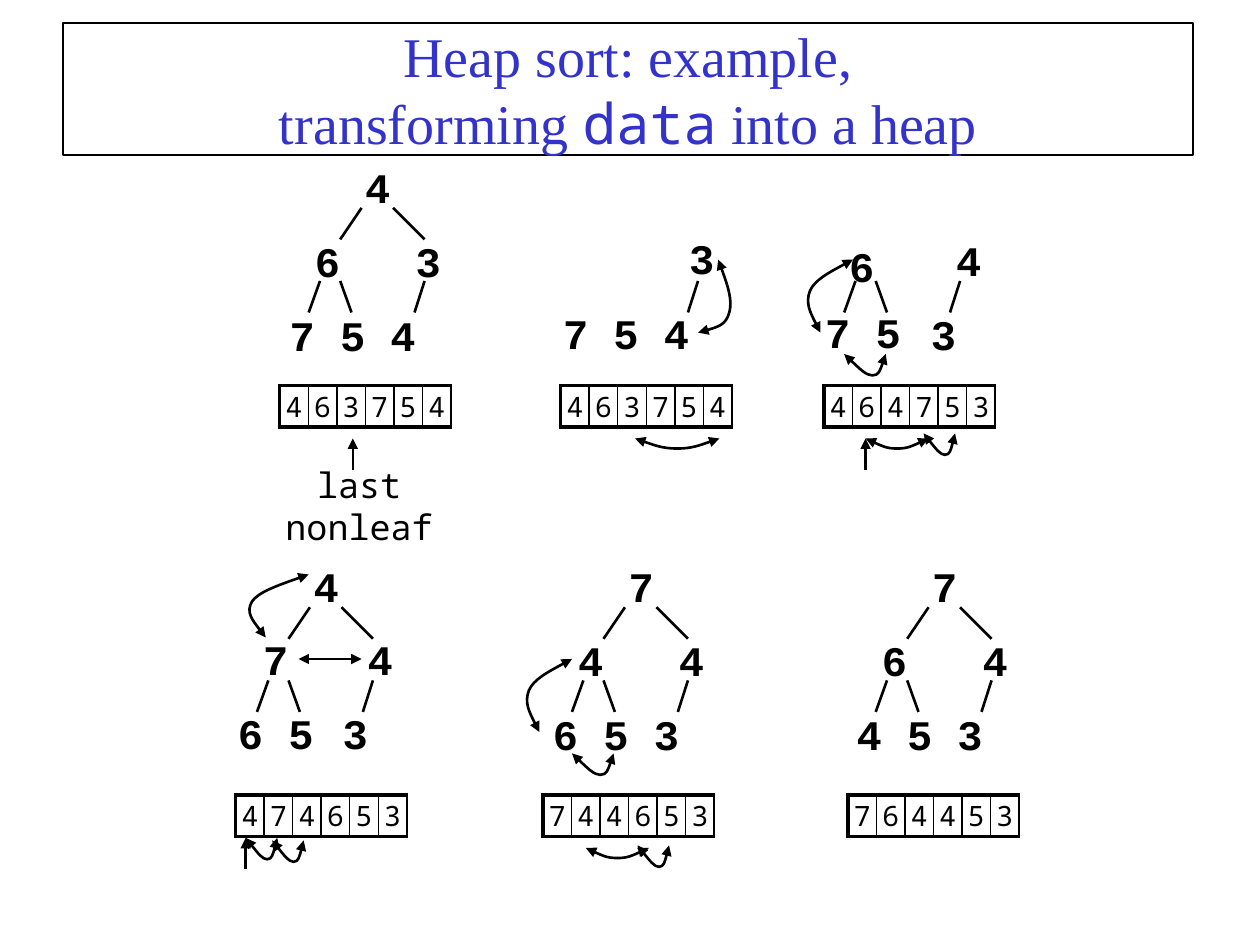
import pptx
import pptx.dml.color
import pptx.enum.dml
import pptx.enum.shapes
import pptx.enum.text
import pptx.oxml
import pptx.oxml.ns
import pptx.util
import lxml.etree

Inches = pptx.util.Inches
Pt = pptx.util.Pt
qn = pptx.oxml.ns.qn
ALIGN = pptx.enum.text.PP_ALIGN
BLACK, BLUE = "000000", "3333CC"
SERIF, MONO, NODE = "Times New Roman", "Noto Sans Mono", "Courier New"

TITLE_LINES = [
    [("Heap sort: example,", SERIF)],
    [("transforming ", SERIF), ("data", MONO), (" into a heap", SERIF)],
]

EDGES = {
    "root left": ((0.67, 0.42), (0.5, 0.67)),
    "root right": ((0.92, 0.42), (1.17, 0.67)),
    "left left": ((0.34, 1), (0.25, 1.25)),
    "left right": ((0.5, 1), (0.59, 1.25)),
    "right left": ((1.17, 1), (1.09, 1.25)),
}
ALL_EDGES = list(EDGES)


def full_tree(root, left, right, leaves):
    return [(f"\t{root}", [0.6]), (f"\t{left}\t{right}", [0.2, 1]), (leaves, [])]


def right_subtree(parent, leaf):
    return [(f"\t{parent}", [0.2]), (leaf, [])]


PANELS = [
    {"origin": (2.2, 1.23), "array": (2.22, 3.06, "463754"), "edges": ALL_EDGES,
     "nodes": [(2.2, 1.23, 1.42, full_tree("4", "6", "3", "7 5 4"))]},
    {"origin": (4.37, 1.23), "array": (4.45, 3.06, "463754"), "edges": ALL_EDGES[4:],
     "nodes": [(4.37, 1.8, 1.42, [("\t3", [1]), ("7 5 4", [])])]},
    {"origin": (6.45, 1.23), "array": (6.54, 3.06, "464753"), "edges": ALL_EDGES[2:],
     "nodes": [(7.29, 1.81, 0.75, right_subtree("4", "3")),
               (6.45, 2.38, 0.92, [("7 5", [])]),
               (6.64, 1.86, 0.44, [("6", [])])]},
    {"origin": (1.79, 4.4), "array": (1.87, 6.31, "474653"), "edges": ALL_EDGES,
     "nodes": [(2.62, 4.98, 0.75, right_subtree("4", "3")),
               (1.79, 4.98, 0.92, [("\t7", [0.2]), ("6 5", [])]),
               (1.79, 4.4, 1.33, [("\t4", [0.6])])]},
    {"origin": (4.29, 4.4), "array": (4.31, 6.31, "744653"), "edges": ALL_EDGES,
     "nodes": [(4.29, 4.4, 1.42, full_tree("7", "4", "4", "6 5 3"))]},
    {"origin": (6.7, 4.4), "array": (6.73, 6.31, "764453"), "edges": ALL_EDGES,
     "nodes": [(6.7, 4.4, 1.42, full_tree("7", "6", "4", "4 5 3"))]},
]

CURVES = {
    "hook": [(0, 0), (0.27, 0.5), (0.53, 1), (0.68, 1), (0.84, 1), (0.92, 0.5), (1, 0)],
    "arc": [(0, 0), (0.17, 0.5), (0.33, 1), (0.5, 1), (0.67, 1), (0.83, 0.5), (1, 0)],
    "left": [(1, 0), (0.6, 0.14), (0.2, 0.28), (0.1, 0.43), (0, 0.6), (0.16, 0.8), (0.32, 1)],
    "right": [(0.57, 0), (0.79, 0.28), (0.98, 0.55), (0.89, 0.72), (0.79, 0.9), (0.39, 0.95), (0, 1)],
}
SWAPS = [
    ("right", 5.54, 2.06, 0.28, 0.58),
    ("arc", 5.04, 3.48, 0.67, 0.08),
    ("left", 6.39, 2.06, 0.38, 0.58),
    ("hook", 6.7, 2.81, 0.33, 0.17),
    ("arc", 6.87, 3.48, 0.5, 0.08),
    ("hook", 7.33, 3.44, 0.25, 0.17),
    ("left", 1.95, 4.56, 0.5, 0.5),
    ("hook", 1.95, 6.65, 0.25, 0.17),
    ("hook", 2.16, 6.67, 0.25, 0.17),
    ("left", 4.16, 5.23, 0.38, 0.58),
    ("hook", 4.54, 5.98, 0.33, 0.17),
    ("arc", 4.65, 6.73, 0.5, 0.08),
    ("hook", 5.06, 6.71, 0.25, 0.17),
]
POINTERS = [
    ((2.8, 3.48), (2.8, 3.73), 1, ["head"]),
    ((6.87, 3.48), (6.87, 3.73), 1.5, ["head"]),
    ((1.95, 6.65), (1.95, 6.9), 1.5, ["head"]),
    ((2.37, 5.23), (2.87, 5.23), 1.5, ["head", "tail"]),
]


def color(value):
    return pptx.dml.color.RGBColor.from_string(value)


def write(paragraph, text, font=NODE, size=24, fill=BLACK, bold=False,
          align=ALIGN.LEFT, before=0, tabs=()):
    paragraph.alignment = align
    paragraph.space_before = Pt(before)
    if tabs:
        stops = lxml.etree.SubElement(paragraph._p.get_or_add_pPr(), qn("a:tabLst"))
        for position in tabs:
            lxml.etree.SubElement(stops, qn("a:tab"), pos=str(Inches(position)), algn="l")
    run = paragraph.add_run()
    run.text = text
    run.font.name, run.font.size, run.font.bold = font, Pt(size), bold
    run.font.color.rgb = color(fill)


def add_text_box(slide, left, top, width, height):
    box = slide.shapes.add_textbox(*map(Inches, (left, top, width, height)))
    box.text_frame.word_wrap = True
    box.text_frame.auto_size = pptx.enum.text.MSO_AUTO_SIZE.SHAPE_TO_FIT_TEXT
    return box.text_frame


def add_nodes(slide, left, top, width, rows):
    frame = add_text_box(slide, left, top, width, 0.6 * len(rows) - 0.1)
    for index, (text, tabs) in enumerate(rows):
        paragraph = frame.add_paragraph() if index else frame.paragraphs[0]
        write(paragraph, text, bold=True, before=13.6 if index else 0, tabs=tabs)


def style_line(shape, width, arrows=()):
    shape.line.color.rgb = color(BLACK)
    shape.line.width = Pt(width)
    line = shape.line._get_or_add_ln()
    for end in arrows:
        lxml.etree.SubElement(line, qn(f"a:{end}End"), type="triangle")


def add_line(slide, start, end, width=1.5, arrows=()):
    connector = slide.shapes.add_connector(
        pptx.enum.shapes.MSO_CONNECTOR.STRAIGHT, *map(Inches, (*start, *end)))
    style_line(connector, width, arrows)
    lxml.etree.SubElement(connector._element.spPr, qn("a:effectLst"))


def add_swap(slide, kind, left, top, width, height):
    points = [(Inches(left + x * width), Inches(top + y * height)) for x, y in CURVES[kind]]
    builder = slide.shapes.build_freeform(*points[0])
    builder.add_line_segments(points[1:], close=False)
    shape = builder.convert_to_shape()
    outline = next(shape._element.iter(qn("a:moveTo"))).getparent()
    segments = outline.findall(qn("a:lnTo"))
    for index in range(0, len(segments), 3):
        curve = lxml.etree.SubElement(outline, qn("a:cubicBezTo"))
        for segment in segments[index:index + 3]:
            curve.append(segment[0])
            outline.remove(segment)
    shape.shadow.inherit = False
    shape.fill.background()
    style_line(shape, 1.5, ["head", "tail"])


def set_borders(cell, widths):
    properties = cell._tc.get_or_add_tcPr()
    for index, (side, width) in enumerate(zip("LRTB", widths)):
        border = pptx.oxml.parse_xml(
            f'<a:ln{side} {pptx.oxml.ns.nsdecls("a")} w="{Pt(width)}"><a:solidFill>'
            f'<a:srgbClr val="{BLACK}"/></a:solidFill></a:ln{side}>')
        properties.insert(index, border)


def add_array(slide, left, top, values):
    table = slide.shapes.add_table(
        1, len(values), *map(Inches, (left, top, 1.36, 0.33))).table
    table.first_row = table.horz_banding = False
    last = len(values) - 1
    for index, value in enumerate(values):
        cell = table.cell(0, index)
        cell.margin_left = cell.margin_right = Inches(0.01)
        cell.margin_top = cell.margin_bottom = Inches(0.01)
        cell.vertical_anchor = pptx.enum.text.MSO_ANCHOR.MIDDLE
        write(cell.text_frame.paragraphs[0], value, font=MONO, size=16, align=ALIGN.CENTER)
        cell.fill.background()
        set_borders(cell, (1 if index else 2.25, 1.5 if index == last else 1, 2.25, 2.25))


def add_title(slide):
    title = slide.shapes.title
    title.left, title.top, title.width, title.height = map(Inches, (0.5, 0.18, 8.97, 1.05))
    style_line(title, 1)
    title.text_frame.auto_size = pptx.enum.text.MSO_AUTO_SIZE.NONE
    title.text_frame.vertical_anchor = pptx.enum.text.MSO_ANCHOR.MIDDLE
    paragraph = title.text_frame.paragraphs[0]
    for index, line in enumerate(TITLE_LINES):
        if index:
            paragraph.add_line_break()
        for text, font in line:
            write(paragraph, text, font=font, size=32, fill=BLUE, align=ALIGN.CENTER)


def main():
    presentation = pptx.Presentation()
    presentation.slide_width, presentation.slide_height = Inches(10), Inches(7.5)
    slide = presentation.slides.add_slide(presentation.slide_layouts[5])
    add_title(slide)
    for panel in PANELS:
        add_array(slide, *panel["array"])
        for nodes in panel["nodes"]:
            add_nodes(slide, *nodes)
        left, top = panel["origin"]
        for name in panel["edges"]:
            start, end = [(left + x, top + y) for x, y in EDGES[name]]
            add_line(slide, start, end)
    for pointer in POINTERS:
        add_line(slide, *pointer)
    for swap in SWAPS:
        add_swap(slide, *swap)
    caption = add_text_box(slide, 1.89, 3.63, 1.92, 0.43)
    write(caption.paragraphs[0], "last nonleaf", font=MONO, size=20, align=ALIGN.CENTER)
    presentation.save("out.pptx")


if __name__ == "__main__":
    main()
